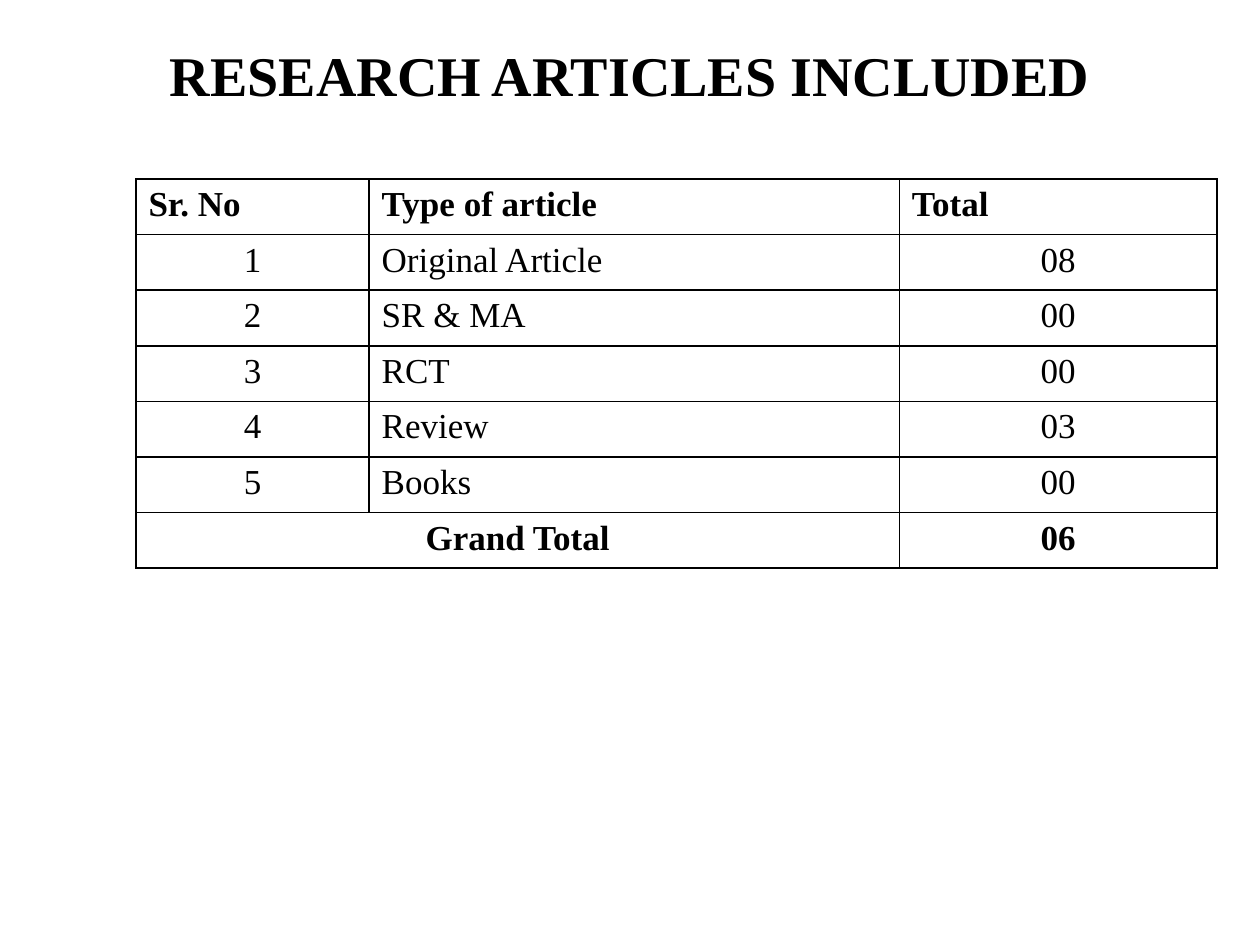
from dataclasses import dataclass

from lxml import etree
from pptx import Presentation
from pptx.dml.color import RGBColor
from pptx.enum.text import MSO_ANCHOR, PP_ALIGN
from pptx.oxml.ns import qn
from pptx.util import Cm, Pt


@dataclass(frozen=True)
class Theme:
    font: str = "Times New Roman"
    ink: str = "000000"
    paper: str = "FFFFFF"
    title: int = 32
    body: int = 20
    border: int = 1


theme = Theme()


def style(p, size, bold, align):
    p.alignment = align
    p.font.name = theme.font
    p.font.size = Pt(size)
    p.font.bold = bold
    p.font.color.rgb = RGBColor.from_string(theme.ink)


def add_borders(cell):
    tcPr = cell._tc.get_or_add_tcPr()
    for i, side in enumerate(("a:lnL", "a:lnR", "a:lnT", "a:lnB")):
        ln = etree.Element(qn(side), w=str(Pt(theme.border)))
        fill = etree.SubElement(ln, qn("a:solidFill"))
        etree.SubElement(fill, qn("a:srgbClr"), val=theme.ink)
        tcPr.insert(i, ln)  # borders come before the cell fill


prs = Presentation()
prs.slide_width, prs.slide_height = Cm(25.4), Cm(19.05)
s = prs.slides.add_slide(prs.slide_layouts[5])
s.background.fill.solid()
s.background.fill.fore_color.rgb = RGBColor.from_string(theme.paper)

# Title
title = s.shapes.title
title.left, title.top, title.width, title.height = Cm(1.27), Cm(0.64), Cm(22.86), Cm(1.7)
tf = title.text_frame
tf.text = "RESEARCH ARTICLES INCLUDED"
tf.vertical_anchor = MSO_ANCHOR.MIDDLE
style(tf.paragraphs[0], theme.title, True, PP_ALIGN.CENTER)

# Table contents
articles = [("Original Article", "08"), ("SR & MA", "00"), ("RCT", "00"),
            ("Review", "03"), ("Books", "00")]
rows = [("Sr. No", "Type of article", "Total")]
rows += [(str(n), kind, total) for n, (kind, total) in enumerate(articles, 1)]
rows += [("Grand Total", "", "06")]
widths = [Cm(4.7), Cm(10.69), Cm(6.4)]
row_height = Cm(1.12)
last = len(rows) - 1

# Table
table = s.shapes.add_table(len(rows), len(widths), Cm(2.74), Cm(3.61),
                           sum(widths), row_height * len(rows)).table
for column, width in zip(table.columns, widths):
    column.width = width
table.cell(last, 0).merge(table.cell(last, 1))

for r, values in enumerate(rows):
    table.rows[r].height = row_height
    for c, value in enumerate(values):
        cell = table.cell(r, c)
        cell.fill.background()
        add_borders(cell)
        if cell.is_spanned:
            continue
        cell.text = value
        if r == 0:
            align = PP_ALIGN.JUSTIFY
        elif c == 1:
            align = PP_ALIGN.LEFT
        else:
            align = PP_ALIGN.CENTER
        style(cell.text_frame.paragraphs[0], theme.body, r in (0, last), align)

prs.save("out.pptx")
